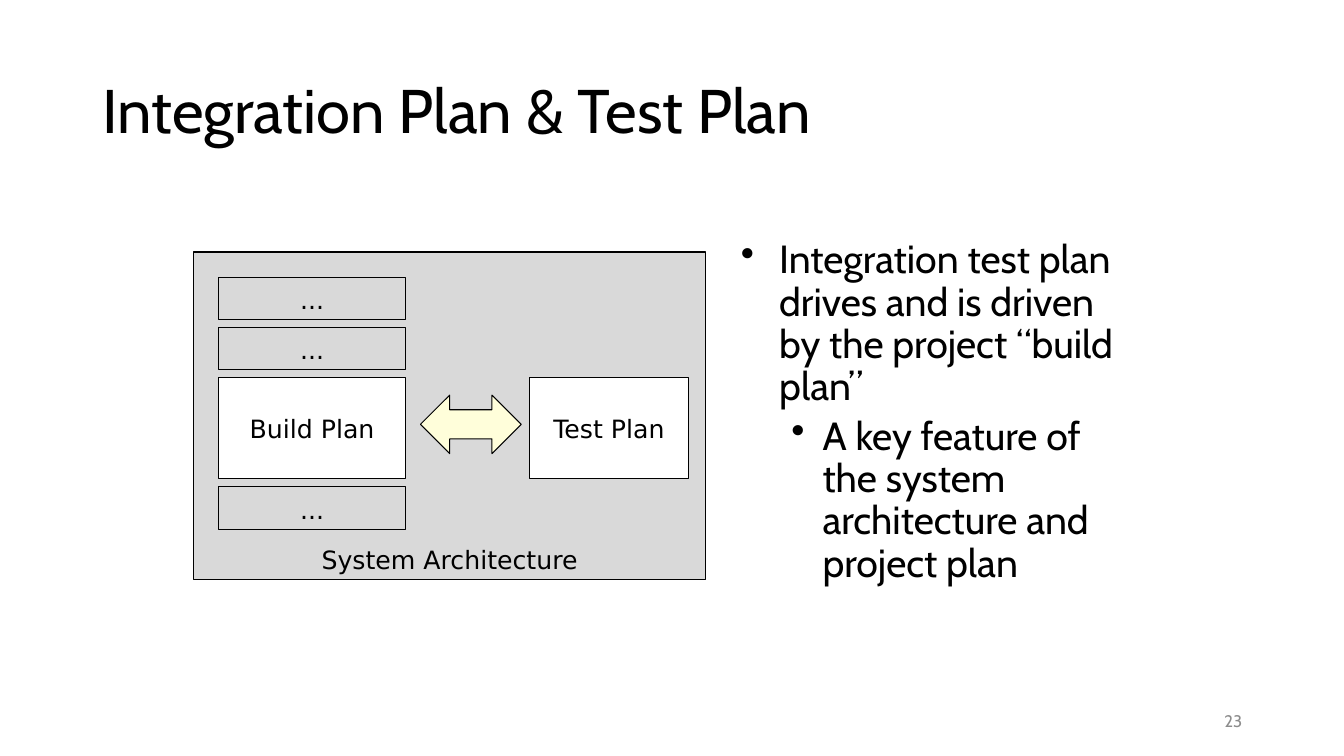
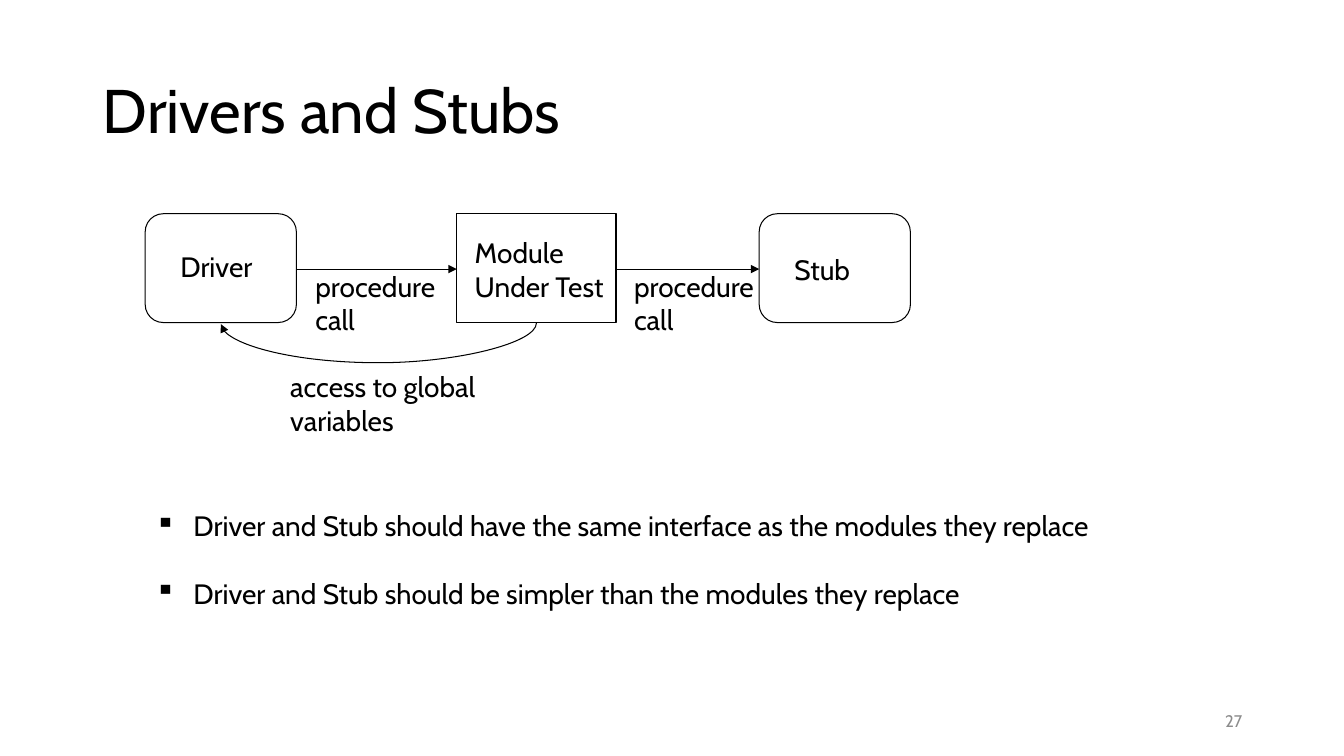
import pptx
import pptx.dml.color
import pptx.enum.shapes
import pptx.enum.text
import pptx.oxml
import pptx.oxml.ns
import pptx.util

Inches = pptx.util.Inches
Pt = pptx.util.Pt
SHAPE = pptx.enum.shapes.MSO_SHAPE
LINE = pptx.enum.shapes.MSO_CONNECTOR
ANCHOR = pptx.enum.text.MSO_ANCHOR
ALIGN = pptx.enum.text.PP_ALIGN

COLORS = {"black": "000000", "white": "FFFFFF", "panel": "D9D9D9",
          "arrow": "FFFEDA", "number": "8C8C8C"}
FONTS = {
    "title": {"name": "Cabin", "size": Pt(44)},
    "body": {"name": "Cabin", "size": Pt(28)},
    "label": {"name": "Cabin", "size": Pt(20)},
    "box": {"name": "DejaVu Sans", "size": Pt(18)},
    "number": {"name": "Cabin", "size": Pt(12)},
}


def rgb(key):
    return pptx.dml.color.RGBColor.from_string(COLORS[key])


def add_xml(parent, tag, **attrs):
    e = pptx.oxml.parse_xml(f'<a:{tag} {pptx.oxml.ns.nsdecls("a")}/>')
    for name, value in attrs.items():
        e.set(name, str(value))
    parent.append(e)
    return e


class Deck:
    """Holds the presentation, its style and the current slide."""

    def __init__(self):
        self.prs = pptx.Presentation()
        self.prs.slide_width = Inches(13.33)
        self.prs.slide_height = Inches(7.5)
        self.s = None

    def slide(self, title, number):
        self.s = self.prs.slides.add_slide(self.prs.slide_layouts[6])
        self.text(0.92, 0.4, 11.5, 1.45, [title], "title", wrap=True,
                  anchor=ANCHOR.MIDDLE, para={"line_spacing": 0.9})
        self.text(9.42, 6.95, 3, 0.4, [str(number)], "number", "number",
                  wrap=True, anchor=ANCHOR.MIDDLE,
                  para={"alignment": ALIGN.RIGHT})

    def fill_frame(self, tf, lines, font, color="black", wrap=False,
                   anchor=ANCHOR.TOP, para=None, bullets=None):
        """Set the lines; bullets gives (sign, left, hanging, space before) per line."""
        tf.word_wrap = wrap
        tf.vertical_anchor = anchor
        for i, line in enumerate(lines):
            p = tf.paragraphs[0] if i == 0 else tf.add_paragraph()
            for name, value in (para or {}).items():
                setattr(p, name, value)
            if bullets:
                sign, left, hanging, before = bullets[i]
                if before:
                    p.space_before = Pt(before)
                pPr = p._p.get_or_add_pPr()
                pPr.set("marL", str(Inches(left)))
                pPr.set("indent", str(-Inches(hanging)))
                add_xml(pPr, "buChar", char=sign)
            r = p.add_run()
            r.text = line
            for name, value in FONTS[font].items():
                setattr(r.font, name, value)
            r.font.color.rgb = rgb(color)

    def text(self, x, y, w, h, lines, font, color="black", **style):
        sp = self.s.shapes.add_textbox(Inches(x), Inches(y), Inches(w), Inches(h))
        self.fill_frame(sp.text_frame, lines, font, color, **style)

    def box(self, x, y, w, h, fill=None, text=None, kind=SHAPE.RECTANGLE,
            anchor=ANCHOR.MIDDLE):
        sp = self.s.shapes.add_shape(kind, Inches(x), Inches(y), Inches(w), Inches(h))
        sp.shadow.inherit = False
        if fill:
            sp.fill.solid()
            sp.fill.fore_color.rgb = rgb(fill)
        else:
            sp.fill.background()
        sp.line.color.rgb = rgb("black")
        sp.line.width = Pt(0.75)
        if text:
            self.fill_frame(sp.text_frame, [text], "box", anchor=anchor,
                            para={"alignment": ALIGN.CENTER})

    def arrow(self, x1, y1, x2, y2, kind=LINE.STRAIGHT):
        c = self.s.shapes.add_connector(kind, Inches(x1), Inches(y1),
                                        Inches(x2), Inches(y2))
        c.line.color.rgb = rgb("black")
        c.line.width = Pt(0.75)
        add_xml(c.line._ln, "tailEnd", type="triangle")
        add_xml(c._element.spPr, "effectLst")
        return c

    def arc_arrow(self, x1, x2, y, depth):
        """Curve hanging below y from x1 back to x2: a thin connector turned by 90°."""
        mid, half, thin = (x1 + x2) / 2, (x1 - x2) / 2, 0.01
        c = self.arrow(mid - thin / 2, y - half, mid + thin / 2, y + half, LINE.CURVE)
        spPr = c._element.spPr
        spPr.find(pptx.oxml.ns.qn("a:xfrm")).set("rot", str(90 * 60000))
        geom = spPr.find(pptx.oxml.ns.qn("a:prstGeom"))
        guides = geom.find(pptx.oxml.ns.qn("a:avLst"))
        if guides is None:
            guides = add_xml(geom, "avLst")
        add_xml(guides, "gd", name="adj1", fmla=f"val {round(depth / thin * 100000)}")


def plans_slide(deck):
    deck.slide("Integration Plan & Test Plan", 23)

    # Architecture panel with its plans
    deck.box(1.92, 2.5, 5.08, 3.25, "panel", "System Architecture",
             anchor=ANCHOR.BOTTOM)
    for y in (2.75, 3.25, 4.83):
        deck.box(2.17, y, 1.85, 0.42, "panel", "...", anchor=ANCHOR.BOTTOM)
    for x, w, name in ((2.17, 1.85, "Build Plan"), (5.25, 1.58, "Test Plan")):
        deck.box(x, 3.75, w, 1, "white", name)
    deck.box(4.17, 3.92, 1, 0.58, "arrow", kind=SHAPE.LEFT_RIGHT_ARROW)

    # Explanation
    deck.text(7.25, 2.33, 4.08, 3.83,
              ["Integration test plan drives and is driven by the project “build plan”",
               "A key feature of the system architecture and project plan"],
              "body", wrap=True, para={"line_spacing": 0.9},
              bullets=[("•", 0.38, 0.38, 0), ("•", 0.81, 0.31, 5)])


def stubs_slide(deck):
    deck.slide("Drivers and Stubs", 27)

    # Boxes
    top, height = 2.12, 1.08
    for x, w, kind in ((1.44, 1.5, SHAPE.ROUNDED_RECTANGLE),
                       (4.53, 1.58, SHAPE.RECTANGLE),
                       (7.53, 1.5, SHAPE.ROUNDED_RECTANGLE)):
        deck.box(x, top, w, height, kind=kind)

    # Labels
    for x, y, w, lines in ((1.69, 2.43, 0.93, ["Driver"]),
                           (4.61, 2.29, 1.49, ["Module", "Under Test"]),
                           (3.03, 2.62, 1.43, ["procedure", "call"]),
                           (6.19, 2.62, 1.43, ["procedure", "call"]),
                           (2.78, 3.62, 2.08, ["access to global", "variables"])):
        deck.text(x, y, w, 0.1 + 0.33 * len(lines), lines, "label")
    deck.text(7.78, 2.46, 0.92, 0.43, ["Stub"], "label", wrap=True)

    # Calls and access back to the driver
    for x1, x2 in ((2.94, 4.53), (6.11, 7.53)):
        deck.arrow(x1, 2.67, x2, 2.67)
    deck.arc_arrow(5.32, 2.19, 3.21, 0.4)

    # Rules
    deck.text(1.44, 5, 10.03, 1.11,
              ["Driver and Stub should have the same interface as the modules they replace",
               "Driver and Stub should be simpler than the modules they replace"],
              "label", wrap=True,
              bullets=[("▪", 0.38, 0.38, 0), ("▪", 0.38, 0.38, 24)])


def main():
    deck = Deck()
    plans_slide(deck)
    stubs_slide(deck)
    deck.prs.save("out.pptx")


if __name__ == "__main__":
    main()
